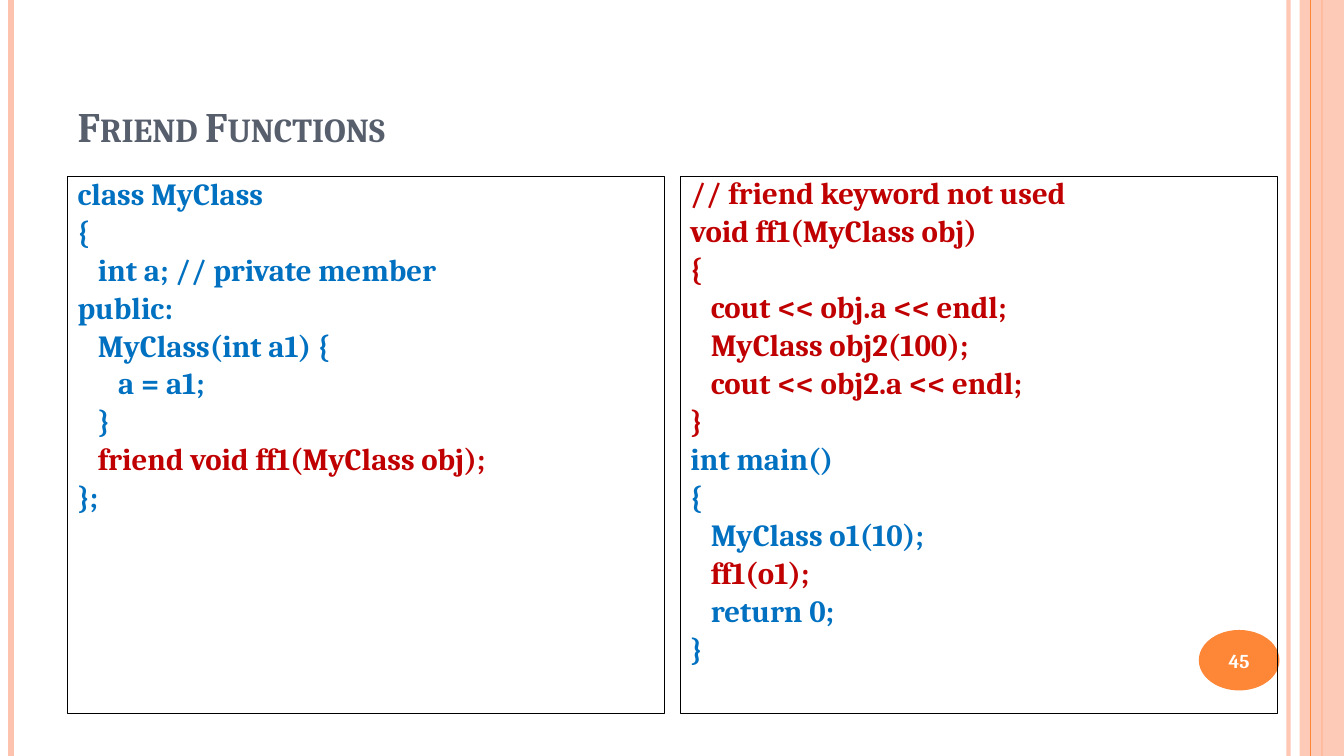
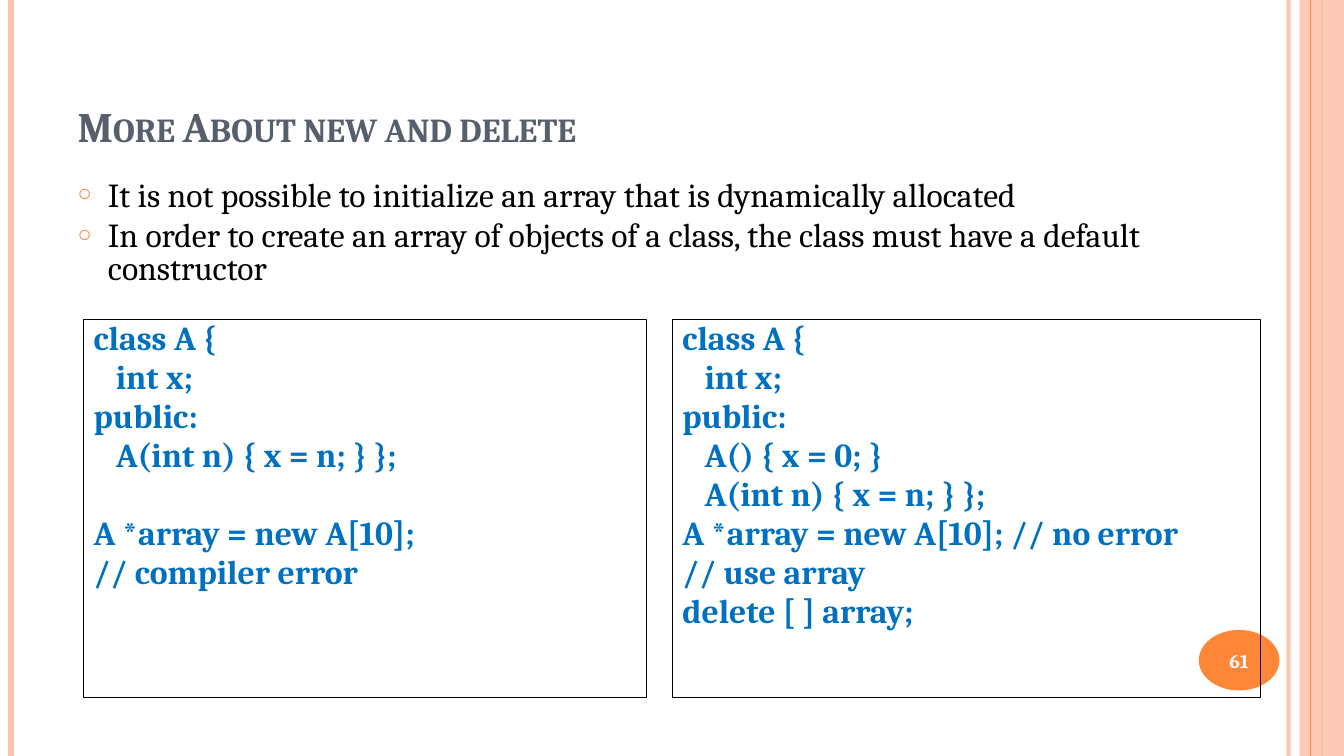
import pptx
import pptx.dml.color
import pptx.enum.shapes
import pptx.enum.text
import pptx.oxml
import pptx.oxml.ns
import pptx.util
from lxml import etree

Inches, Pt = pptx.util.Inches, pptx.util.Pt
Shapes = pptx.enum.shapes.MSO_SHAPE
Align, Anchor = pptx.enum.text.PP_ALIGN, pptx.enum.text.MSO_ANCHOR
qn = pptx.oxml.ns.qn

WIDTH, HEIGHT = 13.33, 7.5
FONT = "Cambria"
PEACH, ORANGE, SLATE = "FEC3AE", "FE8637", "575F6D"
BLUE, RED, BLACK, WHITE = "0070C0", "C00000", "000000", "FFFFFF"
TITLE_BOX = (0.67, 0.3, 11.22, 1.25)
BADGE_BOX = (11.89, 6.25, 0.8, 0.6)


def rgb(color):
    return pptx.dml.color.RGBColor.from_string(color)


def lengths(box):
    return [Inches(value) for value in box]


def place(shape, box):
    shape.left, shape.top, shape.width, shape.height = lengths(box)


def set_opacity(owner, percent):
    """Make the solid colour inside the XML element partly transparent."""
    color = next(owner.iter(qn("a:srgbClr")))
    etree.SubElement(color, qn("a:alpha")).set("val", str(percent * 1000))


def style_font(paragraph, size, color, bold=False):
    font = paragraph.font
    font.name, font.size, font.bold = FONT, Pt(size), bold
    font.color.rgb = rgb(color)


def prepare_frame(shape, anchor=Anchor.TOP):
    frame = shape.text_frame
    frame.word_wrap = True
    frame.auto_size = pptx.enum.text.MSO_AUTO_SIZE.NONE
    frame.vertical_anchor = anchor
    return frame


def add_paragraphs(frame, texts, gap):
    """Yield one closely set paragraph for each text."""
    for index, text in enumerate(texts):
        paragraph = frame.add_paragraph() if index else frame.paragraphs[0]
        paragraph.text = text
        paragraph.line_spacing = 0.8
        paragraph.space_before = Pt(gap if index else 0)
        paragraph.alignment = Align.LEFT
        yield paragraph


def set_bullet(paragraph, indent=0.0, symbol=None):
    properties = paragraph._p.get_or_add_pPr()
    properties.set("marL", str(Inches(indent)))
    properties.set("indent", str(-Inches(indent)))
    if symbol is None:
        etree.SubElement(properties, qn("a:buNone"))
        return
    color = etree.SubElement(properties, qn("a:buClr"))
    etree.SubElement(color, qn("a:srgbClr")).set("val", ORANGE)
    etree.SubElement(properties, qn("a:buSzPct")).set("val", "70000")
    etree.SubElement(properties, qn("a:buChar")).set("char", symbol)


def add_rule(slide, x, color, weight, opacity=100):
    """Draw a vertical line over the full slide height."""
    rule = slide.shapes.add_connector(
        pptx.enum.shapes.MSO_CONNECTOR.STRAIGHT,
        Inches(x), 0, Inches(x), Inches(HEIGHT))
    rule.line.color.rgb = rgb(color)
    rule.line.width = Pt(weight)
    if opacity < 100:
        set_opacity(rule._element, opacity)
    etree.SubElement(rule._element.spPr, qn("a:effectLst"))


def add_plain_shape(slide, kind, box, color):
    shape = slide.shapes.add_shape(kind, *lengths(box))
    shape.shadow.inherit = False
    shape.fill.solid()
    shape.fill.fore_color.rgb = rgb(color)
    shape.line.fill.background()
    return shape


def add_side_bands(slide):
    add_rule(slide, 12.78, PEACH, 3, 93)
    add_rule(slide, 0.11, PEACH, 4.5)
    add_rule(slide, 13.11, ORANGE, 1.5)
    band = add_plain_shape(slide, Shapes.RECTANGLE,
                           (12.89, 0, WIDTH - 12.89, HEIGHT), PEACH)
    set_opacity(band._element.spPr, 87)
    add_rule(slide, 13, ORANGE, 0.75)


def add_page_badge(slide, box, number):
    badge = add_plain_shape(slide, Shapes.OVAL, box, ORANGE)
    frame = prepare_frame(badge, Anchor.MIDDLE)
    frame.margin_left = frame.margin_right = 0
    label = frame.paragraphs[0]
    label.text = str(number)
    label.alignment = Align.CENTER
    style_font(label, 14, WHITE, bold=True)


def start_slide(deck, title, number):
    """Add a slide with the shared bands, title and page badge."""
    slide = deck.slides.add_slide(deck.slide_layouts[1])
    heading = slide.shapes.title
    place(heading, TITLE_BOX)
    line = prepare_frame(heading, Anchor.BOTTOM).paragraphs[0]
    line.text = title
    line.alignment = Align.LEFT
    style_font(line, 30, SLATE, bold=True)
    line.runs[0]._r.get_or_add_rPr().set("cap", "small")
    add_side_bands(slide)
    add_page_badge(slide, BADGE_BOX, number)
    return slide


def fill_code_panel(panel, box, blocks, size, gap):
    """Frame the panel and write its (colour, code) blocks line by line."""
    place(panel, box)
    panel.line.color.rgb = rgb(BLACK)
    panel.line.width = Pt(0.75)
    lines = [(color, line) for color, code in blocks
             for line in code.strip("\n").split("\n")]
    paragraphs = add_paragraphs(prepare_frame(panel),
                                [line for _, line in lines], gap)
    for paragraph, (color, _) in zip(paragraphs, lines):
        set_bullet(paragraph)
        style_font(paragraph, size, color, bold=True)


def fill_bullets(body, box, points):
    place(body, box)
    for paragraph in add_paragraphs(prepare_frame(body), points, 6):
        set_bullet(paragraph, 0.3, "○")
        style_font(paragraph, 24, BLACK)


def add_code_box(slide, box, blocks, size, gap):
    panel = slide.shapes.add_textbox(*lengths(box))
    fill_code_panel(panel, box, blocks, size, gap)


FRIEND_CLASS = [
    (BLUE, """
class MyClass
{
   int a; // private member
public:
   MyClass(int a1) {
      a = a1;
   }
"""),
    (RED, "   friend void ff1(MyClass obj);"),
    (BLUE, "};"),
]

FRIEND_USE = [
    (RED, """
// friend keyword not used
void ff1(MyClass obj)
{
   cout << obj.a << endl;
   MyClass obj2(100);
   cout << obj2.a << endl;
}
"""),
    (BLUE, """
int main()
{
   MyClass o1(10);
"""),
    (RED, "   ff1(o1);"),
    (BLUE, """
   return 0;
}
"""),
]

WITHOUT_DEFAULT = [(BLUE, """
class A {
   int x;
public:
   A(int n) { x = n; } };

A *array = new A[10];
// compiler error
""")]

WITH_DEFAULT = [(BLUE, """
class A {
   int x;
public:
   A() { x = 0; }
   A(int n) { x = n; } };
A *array = new A[10]; // no error
// use array
delete [ ] array;
""")]


def build_friend_functions(deck):
    slide = start_slide(deck, "Friend Functions", 45)
    top, width, height = 1.75, 5.92, 5.33
    fill_code_panel(slide.placeholders[1], (0.67, top, width, height),
                    FRIEND_CLASS, 22, 6)
    add_code_box(slide, (6.75, top, width, height), FRIEND_USE, 22, 6)


def build_new_and_delete(deck):
    slide = start_slide(deck, "More About new and delete", 61)
    fill_bullets(slide.placeholders[1], (0.67, 1.75, 11.22, 1.3), [
        "It is not possible to initialize an array that is dynamically "
        "allocated",
        "In order to create an array of objects of a class, the class must "
        "have a default constructor",
    ])
    top, height = 3.17, 3.75
    add_code_box(slide, (0.83, top, 5.58, height), WITHOUT_DEFAULT, 24, 4.8)
    add_code_box(slide, (6.67, top, 5.83, height), WITH_DEFAULT, 24, 4.8)


def main():
    deck = pptx.Presentation()
    deck.slide_width, deck.slide_height = Inches(WIDTH), Inches(HEIGHT)
    build_friend_functions(deck)
    build_new_and_delete(deck)
    deck.save("out.pptx")


if __name__ == "__main__":
    main()
